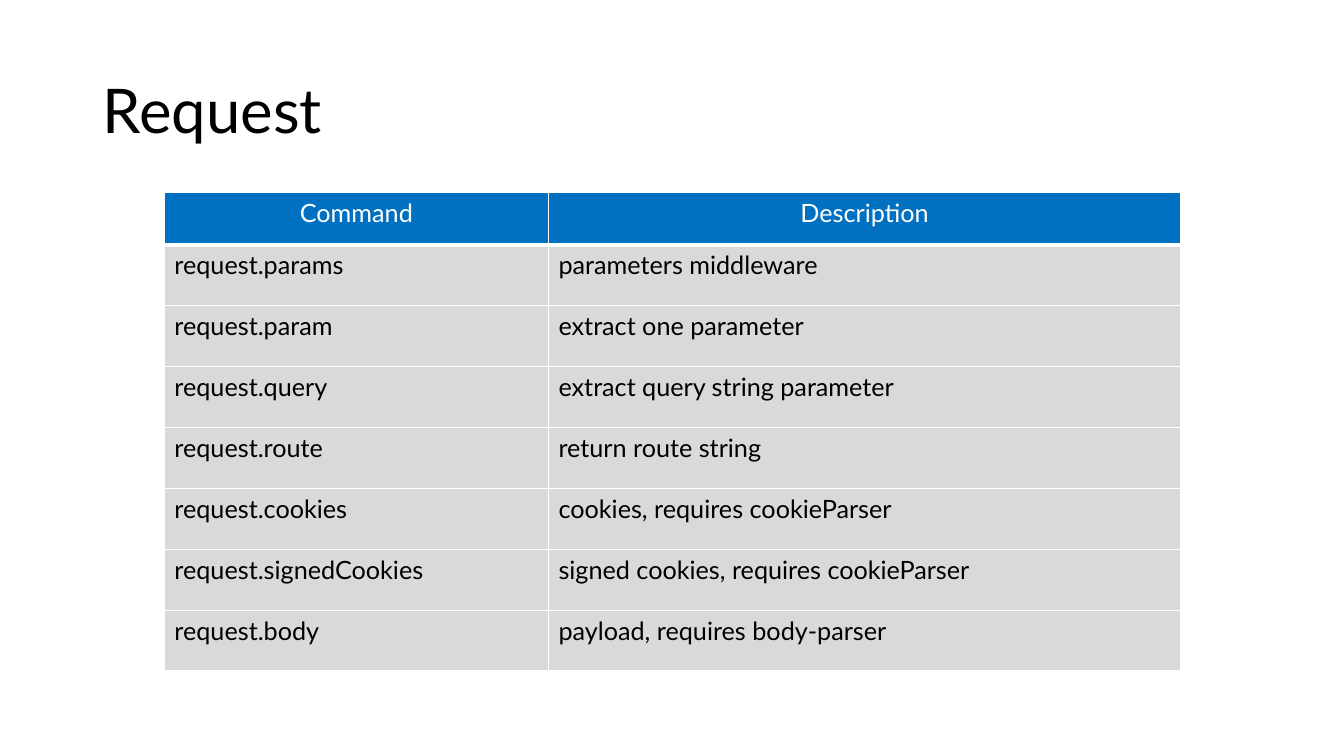
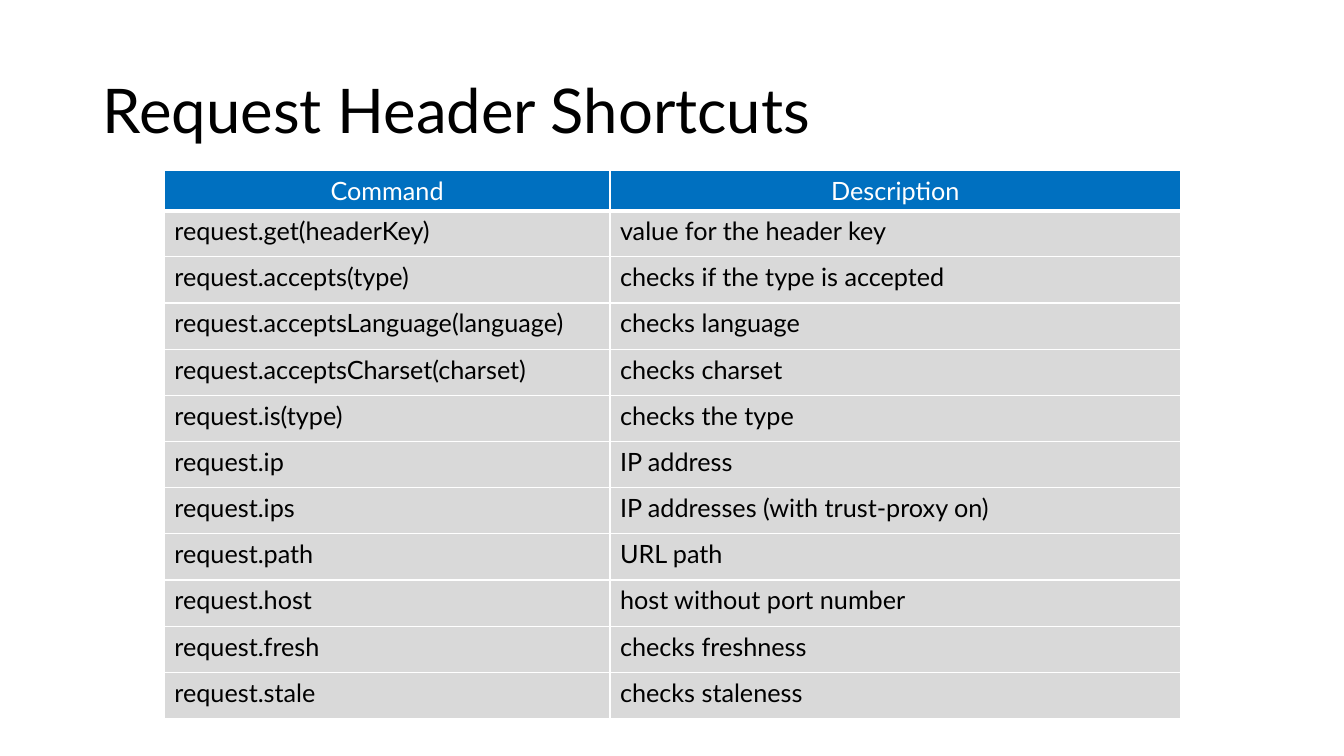
from dataclasses import dataclass

from lxml.etree import SubElement
from pptx import Presentation
from pptx.dml.color import RGBColor
from pptx.enum.text import MSO_ANCHOR, PP_ALIGN
from pptx.oxml.ns import qn
from pptx.presentation import Presentation as Deck
from pptx.slide import Slide
from pptx.table import _Cell as Cell
from pptx.text.text import _Paragraph as Paragraph
from pptx.util import Inches, Length, Pt


@dataclass(frozen=True)
class Theme:
    font: str = "Lato"
    title_size: Length = Pt(44)
    table_size: Length = Pt(18)
    text: RGBColor = RGBColor(0x00, 0x00, 0x00)
    header_text: RGBColor = RGBColor(0xFF, 0xFF, 0xFF)
    header_fill: RGBColor = RGBColor(0x00, 0x70, 0xC0)
    body_fill: RGBColor = RGBColor(0xD9, 0xD9, 0xD9)
    border: RGBColor = RGBColor(0xFF, 0xFF, 0xFF)
    thin: Length = Pt(1)
    thick: Length = Pt(3)


@dataclass(frozen=True)
class CommandPage:
    title: str
    top: float
    height: float
    command_width: float
    header_height: float
    commands: list[tuple[str, str]]


THEME = Theme()
TABLE_LEFT, TABLE_WIDTH = 1.63, 10.08
HEADINGS = ("Command", "Description")

PAGES = [
    CommandPage("Request", 1.91, 4.75, 3.81, 0.52, [
        ("request.params", "parameters middleware"),
        ("request.param", "extract one parameter"),
        ("request.query", "extract query string parameter"),
        ("request.route", "return route string"),
        ("request.cookies", "cookies, requires cookieParser"),
        ("request.signedCookies", "signed cookies, requires cookieParser"),
        ("request.body", "payload, requires body-parser"),
    ]),
    CommandPage("Request Header Shortcuts", 1.69, 5.43, 4.42, 0.39, [
        ("request.get(headerKey)", "value for the header key"),
        ("request.accepts(type)", "checks if the type is accepted"),
        ("request.acceptsLanguage(language)", "checks language"),
        ("request.acceptsCharset(charset)", "checks charset"),
        ("request.is(type)", "checks the type"),
        ("request.ip", "IP address"),
        ("request.ips", "IP addresses (with trust-proxy on)"),
        ("request.path", "URL path"),
        ("request.host", "host without port number"),
        ("request.fresh", "checks freshness"),
        ("request.stale", "checks staleness"),
    ]),
]


def add_run(paragraph: Paragraph, text: str, size: Length, color: RGBColor) -> None:
    run = paragraph.add_run()
    run.text = text
    run.font.name = THEME.font
    run.font.size = size
    run.font.color.rgb = color


def add_title(slide: Slide, text: str) -> None:
    title = slide.shapes.add_textbox(Inches(0.92), Inches(0.4), Inches(11.5), Inches(1.45))
    frame = title.text_frame
    frame.word_wrap = True
    frame.vertical_anchor = MSO_ANCHOR.MIDDLE
    paragraph = frame.paragraphs[0]
    paragraph.line_spacing = 0.9
    add_run(paragraph, text, THEME.title_size, THEME.text)


def set_borders(cell: Cell, top: Length, bottom: Length) -> None:
    """Outline a cell; call before filling it, as borders precede the fill in XML."""
    properties = cell._tc.get_or_add_tcPr()
    widths = {"a:lnL": THEME.thin, "a:lnR": THEME.thin, "a:lnT": top, "a:lnB": bottom}
    for tag, width in widths.items():
        line = SubElement(properties, qn(tag), w=str(int(width)))
        fill = SubElement(line, qn("a:solidFill"))
        SubElement(fill, qn("a:srgbClr"), val=str(THEME.border))


def fill_cell(cell: Cell, text: str, row: int) -> None:
    is_header = row == 0
    set_borders(
        cell,
        top=THEME.thick if row == 1 else THEME.thin,
        bottom=THEME.thick if is_header else THEME.thin,
    )
    cell.fill.solid()
    cell.fill.fore_color.rgb = THEME.header_fill if is_header else THEME.body_fill
    paragraph = cell.text_frame.paragraphs[0]
    paragraph.alignment = PP_ALIGN.CENTER if is_header else PP_ALIGN.LEFT
    add_run(paragraph, text, THEME.table_size, THEME.header_text if is_header else THEME.text)


def add_command_table(slide: Slide, page: CommandPage) -> None:
    entries = [HEADINGS, *page.commands]
    table = slide.shapes.add_table(
        len(entries), len(HEADINGS), Inches(TABLE_LEFT), Inches(page.top),
        Inches(TABLE_WIDTH), Inches(page.height),
    ).table
    table.columns[0].width = Inches(page.command_width)
    table.columns[1].width = Inches(TABLE_WIDTH - page.command_width)
    body_height = (page.height - page.header_height) / len(page.commands)
    for row, entry in enumerate(entries):
        table.rows[row].height = Inches(body_height if row else page.header_height)
        for column, text in enumerate(entry):
            fill_cell(table.cell(row, column), text, row)


def add_page(deck: Deck, page: CommandPage) -> None:
    slide = deck.slides.add_slide(deck.slide_layouts[6])
    add_title(slide, page.title)
    add_command_table(slide, page)


def main() -> None:
    deck = Presentation()
    deck.slide_width = Inches(13.33)
    deck.slide_height = Inches(7.5)
    for page in PAGES:
        add_page(deck, page)
    deck.save("out.pptx")


if __name__ == "__main__":
    main()
